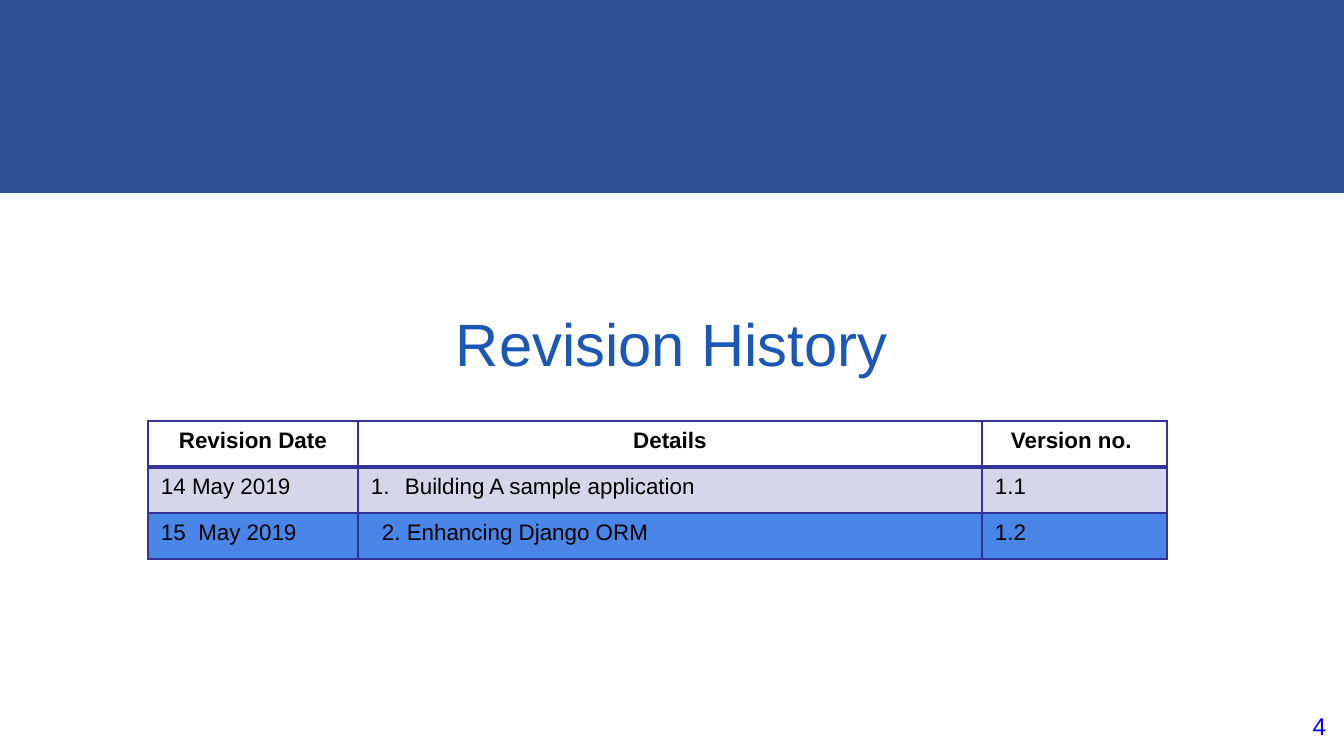
from lxml import etree
from pptx import Presentation
from pptx.dml.color import RGBColor
from pptx.enum.shapes import MSO_SHAPE
from pptx.enum.text import MSO_ANCHOR, PP_ALIGN
from pptx.oxml.ns import qn
from pptx.util import Pt

RECT = MSO_SHAPE.RECTANGLE
LEFT, MID, RIGHT = PP_ALIGN.LEFT, PP_ALIGN.CENTER, PP_ALIGN.RIGHT
TOP, CENTER = MSO_ANCHOR.TOP, MSO_ANCHOR.MIDDLE

WHITE = RGBColor(0xFF, 0xFF, 0xFF)
BLACK = RGBColor(0, 0, 0)
NAVY = RGBColor(0x33, 0x52, 0x95)
BLUE = RGBColor(0x1B, 0x57, 0xB5)
LINK = RGBColor(0, 0, 0xFF)
INDIGO = RGBColor(0x33, 0x33, 0x99)
SKY = RGBColor(0x4A, 0x86, 0xE8)

# Content
TITLE = "Revision History"
PAGE = "4"
HEAD = ["Revision Date", "Details", "Version no. "]
ROWS = [
    ["14 May 2019", "Building A sample application", "1.1"],
    ["15  May 2019", "2. Enhancing Django ORM", "1.2"],
]
FILLS = [WHITE, INDIGO, SKY]
TINT = {1: 20}  # row: opacity in percent
INDENT = {(1, 1): (34, -34, True), (2, 1): (11, 0, False)}  # px, px, numbered

# Layout in px
WIDTH, HEIGHT = 1344, 756
BAND = 193
COLS = [210, 624, 185]
ROW = 46
GRID = (148, 421, sum(COLS), ROW * 3)
TEXTS = [
    (PAGE, (1258, 698, 81, 58), 13, LINK, RIGHT, TOP, 13),
    (TITLE, (67, 284, 1210, 117), 32, BLUE, MID, CENTER, 7),
]


def px(n):
    return round(n * 914400 / 134.4)


def write(frame, text, size, color, align, bold=False):
    para = frame.paragraphs[0]
    para.alignment = align
    run = para.add_run()
    run.text = text
    form = {"name": "Arial", "size": Pt(size), "bold": bold}
    for key, val in form.items():
        setattr(run.font, key, val)
    run.font.color.rgb = color
    return para


def pad(item, side, edge):
    form = {"margin_left": side, "margin_right": side,
            "margin_top": edge, "margin_bottom": edge}
    for key, val in form.items():
        setattr(item, key, px(val))


def border(cell, widths):
    props = cell._tc.get_or_add_tcPr()
    for i, (side, width) in enumerate(widths.items()):
        line = etree.Element(qn("a:ln" + side), w=str(Pt(width)))
        fill = etree.SubElement(line, qn("a:solidFill"))
        etree.SubElement(fill, qn("a:srgbClr"), val=str(INDIGO))
        props.insert(i, line)


def indent(para, left, first, number):
    props = para._p.get_or_add_pPr()
    props.set("marL", str(px(left)))
    props.set("indent", str(px(first)))
    if number:
        etree.SubElement(props, qn("a:buFont"), typeface="Arial")
        etree.SubElement(props, qn("a:buAutoNum"), type="arabicPeriod")


deck = Presentation()
deck.slide_width, deck.slide_height = px(WIDTH), px(HEIGHT)
slide = deck.slides.add_slide(deck.slide_layouts[6])

# Top band
band = slide.shapes.add_shape(RECT, 0, 0, px(WIDTH), px(BAND))
band.shadow.inherit = False
band.fill.solid()
band.fill.fore_color.rgb = NAVY
band.line.fill.background()

# Page number and title
for text, spot, size, color, align, anchor, edge in TEXTS:
    frame = slide.shapes.add_textbox(*map(px, spot)).text_frame
    frame.word_wrap = True
    frame.vertical_anchor = anchor
    pad(frame, 13, edge)
    write(frame, text, size, color, align)

# Revision table
data = [HEAD] + ROWS
table = slide.shapes.add_table(len(data), len(COLS), *map(px, GRID)).table
for col, width in zip(table.columns, COLS):
    col.width = px(width)
for r, texts in enumerate(data):
    table.rows[r].height = px(ROW)
    for c, text in enumerate(texts):
        cell = table.cell(r, c)
        pad(cell, 13, 7)
        cell.fill.solid()
        cell.fill.fore_color.rgb = FILLS[r]
        if r in TINT:
            tone = cell._tc.tcPr.find(".//" + qn("a:srgbClr"))
            etree.SubElement(tone, qn("a:alpha"), val=str(TINT[r] * 1000))
        border(cell, {"L": 1, "R": 1, "T": 2 if r == 1 else 1,
                      "B": 2 if r == 0 else 1})
        para = write(cell.text_frame, text, 12, BLACK,
                     MID if r == 0 else LEFT, r == 0)
        if (r, c) in INDENT:
            indent(para, *INDENT[r, c])

deck.save("out.pptx")
